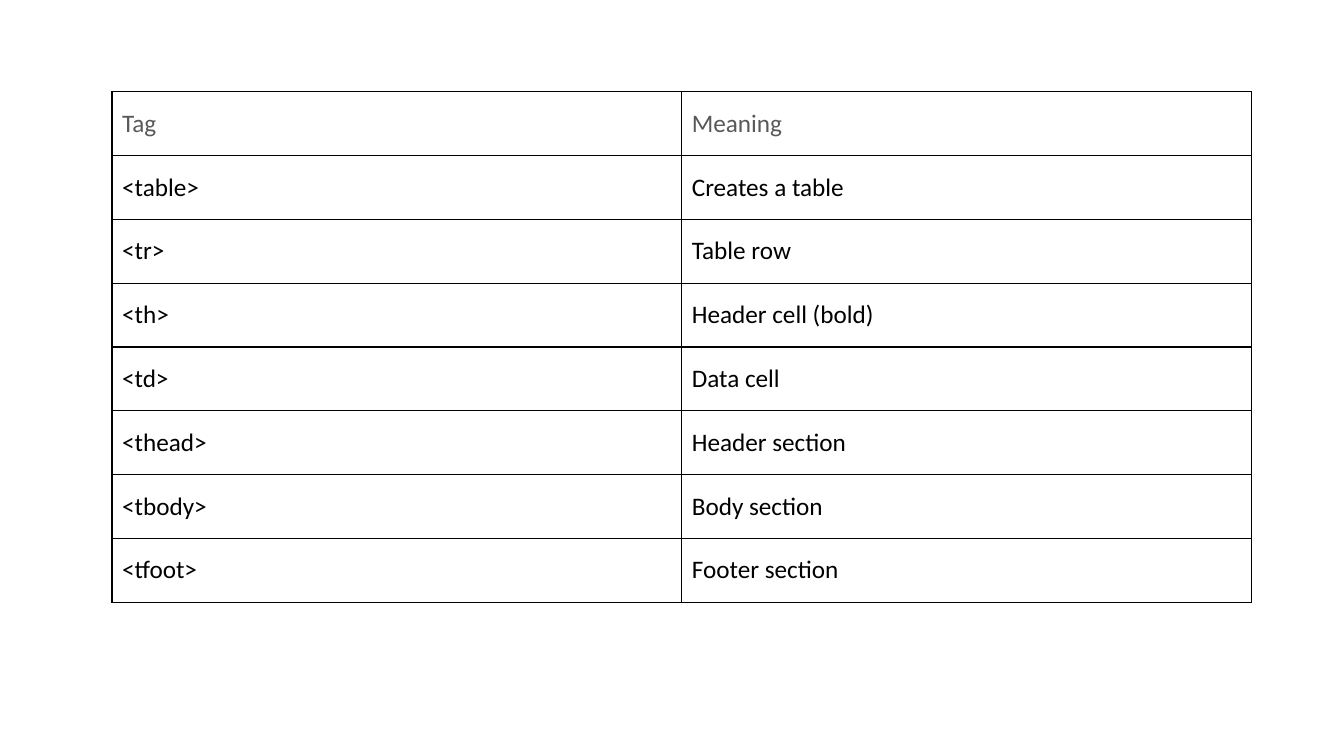
"""Build a slide with a table of HTML table tags and their meanings."""
from lxml.etree import SubElement
from pptx import Presentation
from pptx.dml.color import RGBColor
from pptx.enum.text import MSO_VERTICAL_ANCHOR as Anchor
from pptx.oxml.ns import qn
from pptx.util import Pt

ROWS = [
    ("Tag", "Meaning"),
    ("<table>", "Creates a table"),
    ("<tr>", "Table row"),
    ("<th>", "Header cell (bold)"),
    ("<td>", "Data cell"),
    ("<thead>", "Header section"),
    ("<tbody>", "Body section"),
    ("<tfoot>", "Footer section"),
]
HEADER_COLOR, BODY_COLOR, BORDER_COLOR = "595959", "000000", "000000"
LEFT, TOP, COLUMN_WIDTH, ROW_HEIGHT = 80, 65.5, 407, 45.6


def set_color(color_format, color):
    color_format.rgb = RGBColor.from_string(color)


def add_borders(cell):
    properties = cell._tc.get_or_add_tcPr()
    for side in ("lnL", "lnR", "lnT", "lnB"):
        line = SubElement(properties, qn(f"a:{side}"), w=str(Pt(1)))
        fill = SubElement(line, qn("a:solidFill"))
        SubElement(fill, qn("a:srgbClr"), val=BORDER_COLOR)


def fill_cell(cell, text, color):
    add_borders(cell)
    cell.fill.background()
    cell.vertical_anchor = Anchor.MIDDLE
    cell.text = text
    font = cell.text_frame.paragraphs[0].font
    font.name, font.size, font.bold = "Calibri", Pt(18), False
    set_color(font.color, color)


def main():
    presentation = Presentation()
    presentation.slide_width, presentation.slide_height = Pt(960), Pt(540)
    slide = presentation.slides.add_slide(presentation.slide_layouts[6])
    column_count = len(ROWS[0])
    table = slide.shapes.add_table(
        len(ROWS), column_count, Pt(LEFT), Pt(TOP),
        Pt(COLUMN_WIDTH * column_count), Pt(ROW_HEIGHT * len(ROWS))).table
    table.first_row = table.horz_banding = False
    for row_index, texts in enumerate(ROWS):
        color = BODY_COLOR if row_index else HEADER_COLOR
        for column_index, text in enumerate(texts):
            fill_cell(table.cell(row_index, column_index), text, color)
    presentation.save("out.pptx")


if __name__ == "__main__":
    main()
